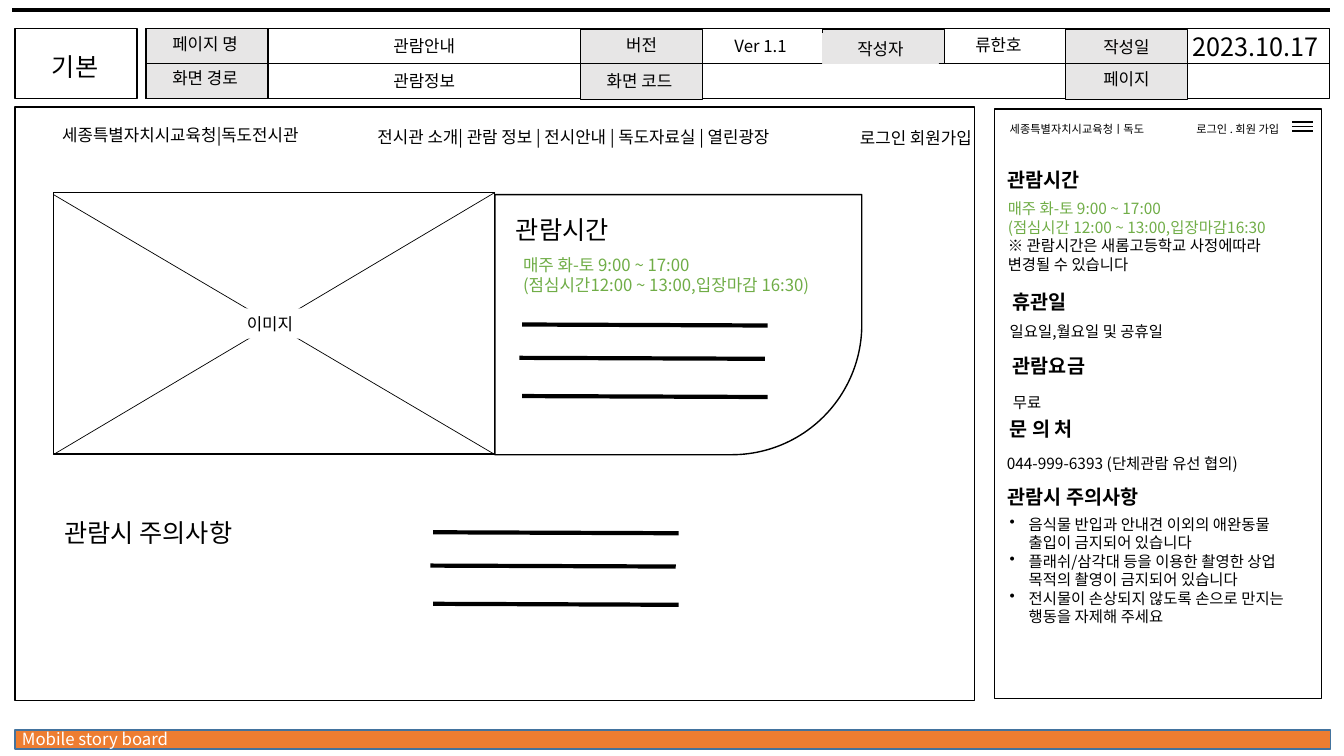
"""Build the storyboard slide for the exhibition hall visitor guide."""
from lxml import etree
from pptx import Presentation
from pptx.dml.color import RGBColor
from pptx.enum.shapes import MSO_CONNECTOR as Connector, MSO_SHAPE as Preset
from pptx.enum.text import MSO_ANCHOR as Anchor, PP_ALIGN as Align
from pptx.oxml.ns import qn
from pptx.util import Pt

FONT = "Noto Sans CJK KR"
COLORS = {
    "black": "000000", "white": "FFFFFF", "gray": "E7E6E6",
    "orange": "ED7D31", "blue": "43739E", "green": "70AD47",
}

presentation = Presentation()
presentation.slide_width, presentation.slide_height = Pt(960), Pt(540)
slide = presentation.slides.add_slide(presentation.slide_layouts[6])


def rgb(name):
    return RGBColor.from_string(COLORS[name])


def write(text, left, top, width, height, size=12, color="black", bold=False,
          align=Align.LEFT, bullet=False):
    shape = slide.shapes.add_textbox(Pt(left), Pt(top), Pt(width), Pt(height))
    frame = shape.text_frame
    frame.word_wrap = True
    frame.vertical_anchor = Anchor.TOP
    frame.text = text
    for paragraph in frame.paragraphs:
        paragraph.alignment = align
        if bullet:
            properties = paragraph._p.get_or_add_pPr()
            properties.set("marL", str(Pt(13.5)))
            properties.set("indent", str(-Pt(13.5)))
            etree.SubElement(properties, qn("a:buChar")).set("char", "•")
        for run in paragraph.runs:
            run.font.size = Pt(size)
            run.font.bold = bold
            run.font.color.rgb = rgb(color)
            run.font.name = FONT
            etree.SubElement(run._r.get_or_add_rPr(), qn("a:ea")).set("typeface", FONT)
    return shape


boxes = [
    (10.8, 521.3, 939.6, 13.7, "orange", "blue"),
    (10.8, 20.2, 87.1, 50.4, None, "black"),
    (104.4, 20.2, 845.3, 50.4, None, "black"),
    (10.8, 76.3, 685.4, 424.1, None, "black"),
    (104.4, 20.2, 87.1, 50.4, "gray", "black"),
    (414.7, 20.9, 87.1, 50.4, "gray", "black"),
    (587.5, 20.9, 87.1, 24.5, "gray", "black"),
    (761, 20.9, 87.1, 50.4, "gray", "black"),
    (38.2, 137.5, 315, 186.8, None, "black"),
    (710.6, 77.8, 233.3, 421.2, None, "black"),
    (353.5, 139, 262.1, 185.8, "white", "black"),
]
for left, top, width, height, fill, outline in boxes:
    preset = Preset.ROUND_1_RECTANGLE if fill == "white" else Preset.RECTANGLE
    shape = slide.shapes.add_shape(preset, Pt(left), Pt(top), Pt(width), Pt(height))
    shape.shadow.inherit = False
    shape.line.color.rgb = rgb(outline)
    shape.line.width = Pt(1)
    if fill:
        shape.fill.solid()
        shape.fill.fore_color.rgb = rgb(fill)
    else:
        shape.fill.background()
    if preset == Preset.ROUND_1_RECTANGLE:
        shape.adjustments[0] = 0.5
        shape._element.spPr.find(qn("a:xfrm")).set("flipV", "1")

lines = [
    (8.6, 7.2, 949.7, 7.2, 3),
    (104.4, 45.4, 949.7, 45.4, 0.5),
    (38.2, 324.7, 353.5, 137.5, 0.5),
    (38.2, 139, 353.5, 324.7, 0.5),
]
lines += [(923, y, 938.2, y, 1) for y in (87.1, 90.2, 93.6)]
for left, top in ((371, 231.8), (307.4, 380.2)):
    for shift, drop in ((2, 0), (0, 23.8), (2, 51.1)):
        x, y = left + shift, top + drop
        lines.append((x, y, x + 175.3, y + 0.7, 3))
for x1, y1, x2, y2, weight in lines:
    line = slide.shapes.add_connector(Connector.STRAIGHT, Pt(x1), Pt(y1), Pt(x2), Pt(y2))
    line.line.color.rgb = rgb("black")
    line.line.width = Pt(weight)
    etree.SubElement(line._element.spPr, qn("a:effectLst"))

write("Mobile story board", 8.6, 517, 230.4, 21.6, color="white")

header_cells = [
    ("기본", 12.2, 33.1, 82.8, 18),
    ("페이지 명", 105.1, 20.9, 82.8, 12),
    ("화면 경로", 105.1, 44.6, 82.8, 12),
    ("버전", 416.9, 21.6, 82.8, 12),
    ("화면 코드", 415.4, 46.8, 82.8, 12),
    ("작성일", 763.2, 23, 82.8, 12),
    ("페이지", 763.2, 45.4, 82.8, 12),
    ("류한호", 640.8, 21.6, 144.7, 12),
    ("2023.10.17", 841, 18.7, 111.6, 18),
    ("Ver 1.1", 470.9, 21.9, 144.7, 12),
    ("관람안내", 220.3, 22.3, 165.6, 12),
    ("관람정보", 220.3, 46.8, 165.6, 12),
    ("세종특별자치시교육청|독도전시관", 18.7, 85.7, 220.3, 12),
    ("전시관 소개| 관람 정보 | 전시안내 | 독도자료실 | 열린광장", 242.6, 87.1, 334.1, 12),
]
for text, left, top, width, size in header_cells:
    write(text, left, top, width, size * 1.8, size=size, align=Align.CENTER)
author_label = write("작성자", 587.5, 23.8, 82.8, 21.6, align=Align.CENTER)
author_label.line.color.rgb = rgb("gray")
author_label.line.width = Pt(0.75)

write("로그인 회원가입", 590, 87.8, 111.3, 21.6, align=Align.RIGHT)
image_label = write("이미지", 169.2, 220.3, 51.8, 21.6)
image_label.fill.solid()
image_label.fill.fore_color.rgb = rgb("white")
write("관람시간", 361.4, 149.8, 98.6, 28.8, size=18)
write("매주 화-토 9:00 ~ 17:00\n(점심시간12:00 ~ 13:00,입장마감 16:30)",
      366.5, 178.6, 234, 36, color="green")
write("관람시 주의사항", 38.9, 365.8, 199.4, 28.8, size=18)

write("세종특별자치시교육청ㅣ독도", 714.2, 84.2, 134.6, 17.3, size=8)
write("로그인 . 회원 가입", 833.8, 83.5, 87.1, 17.3, size=8, align=Align.RIGHT)
mobile_headings = [
    ("관람시간", 712.8, 116.6), ("휴관일", 716.4, 203.8), ("관람요금", 716.4, 249.1),
    ("문 의 처", 714.2, 294.5), ("관람시 주의사항", 712.8, 342.7),
]
for text, left, top in mobile_headings:
    write(text, left, top, 117.4, 24.5, size=14, bold=True)
mobile_details = [
    ("일요일,월요일 및 공휴일", 714.2, 226.8), ("무료", 716.4, 277.2),
    ("044-999-6393 (단체관람 유선 협의)", 712.1, 321.1),
]
for text, left, top in mobile_details:
    write(text, left, top, 226.1, 20.9, size=11)

hours = write("매주 화-토 9:00 ~ 17:00\n(점심시간 12:00 ~ 13:00,입장마감16:30\n"
              "※ 관람시간은 새롬고등학교 사정에따라 변경될 수 있습니다",
              712.8, 139, 227.5, 60.5, size=11, color="green")
hours.text_frame.paragraphs[2].runs[0].font.color.rgb = rgb("black")
write("음식물 반입과 안내견 이외의 애완동물 출입이 금지되어 있습니다\n"
      "플래쉬/삼각대 등을 이용한 촬영한 상업 목적의 촬영이 금지되어 있습니다\n"
      "전시물이 손상되지 않도록 손으로 만지는 행동을 자제해 주세요",
      714.2, 364.3, 226.1, 87.1, size=11, bullet=True)

presentation.save("out.pptx")
